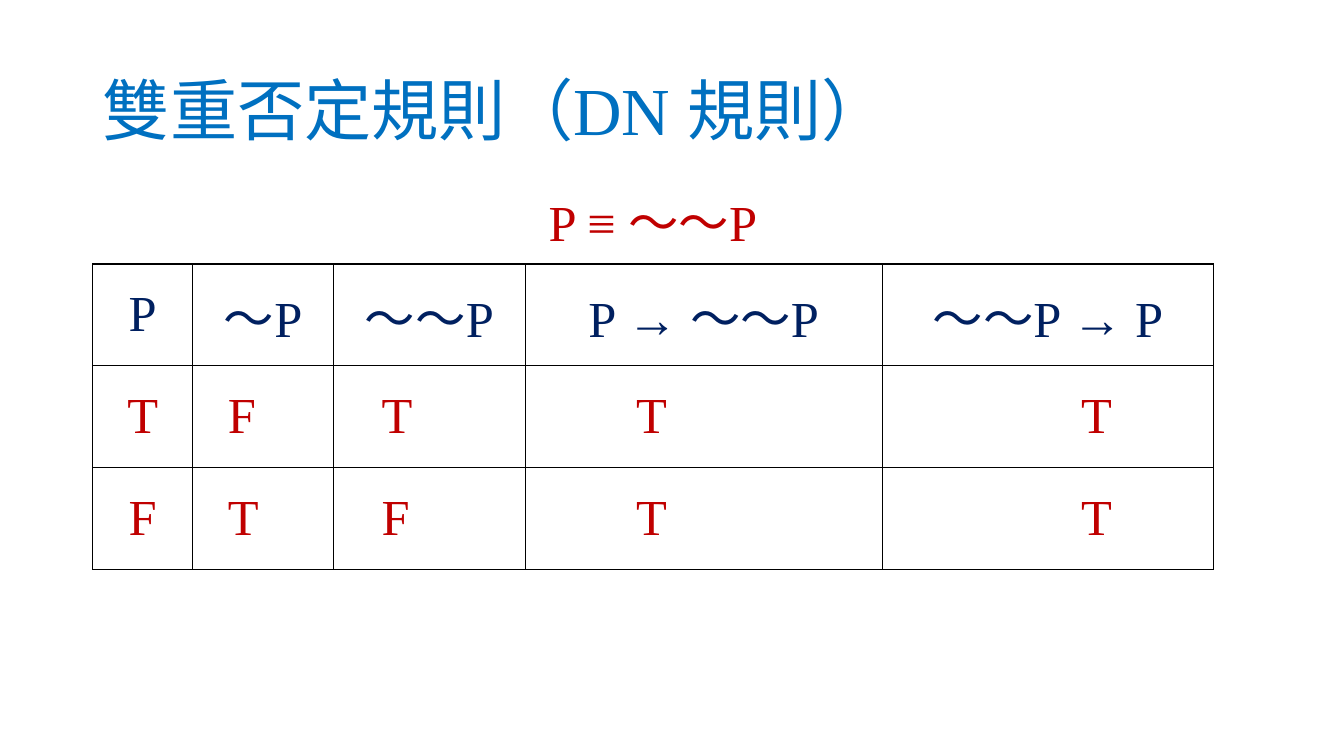
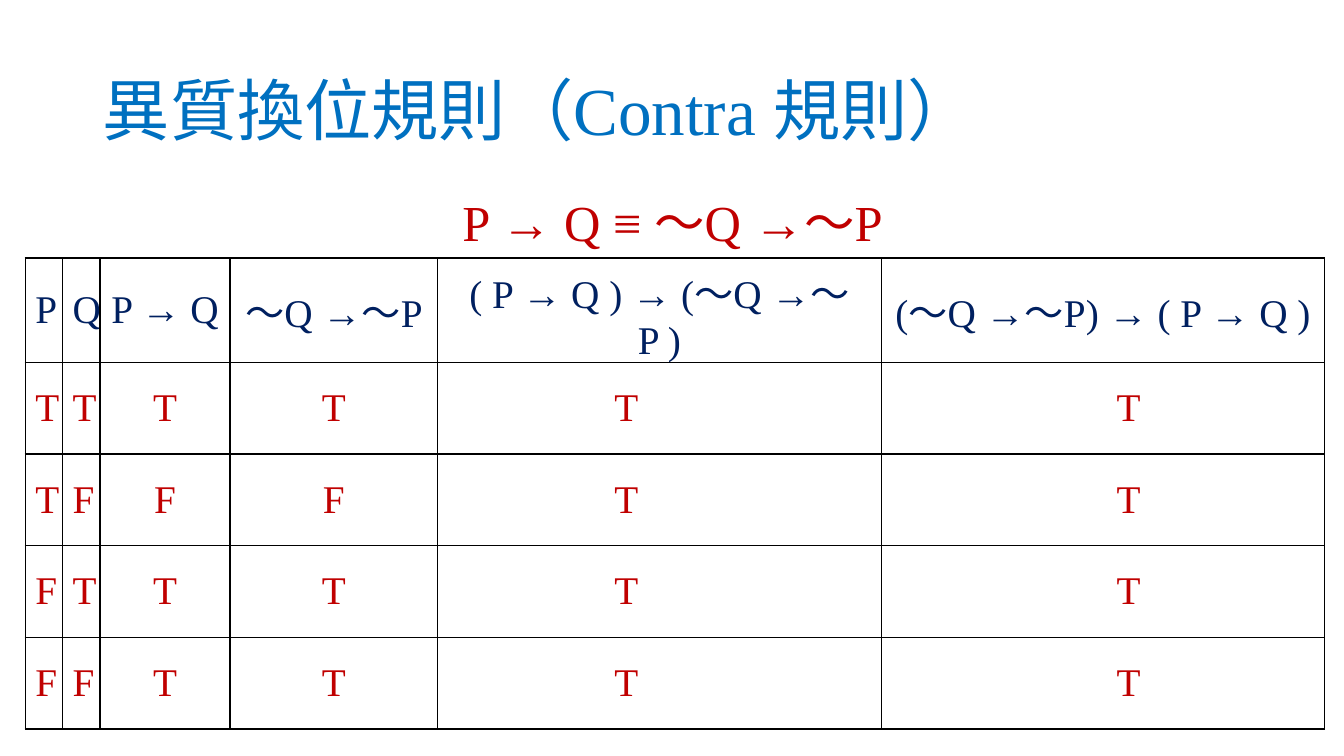
from lxml.etree import SubElement
from pptx import Presentation
from pptx.dml.color import RGBColor
from pptx.enum.text import MSO_ANCHOR, MSO_AUTO_SIZE, PP_ALIGN
from pptx.oxml.ns import qn
from pptx.util import Inches, Pt

BLUE, NAVY, RED, BLACK = "0070C0", "002060", "C00000", "000000"
SERIF, SANS = "Times New Roman", "Calibri"
TITLE_LAYOUT = 5
CELL_MARGIN = Inches(0.1)


def rgb(color):
    return RGBColor.from_string(color)


class Deck:
    """Shared style and the current slide; lengths are percent of the slide."""

    def __init__(self):
        self.prs = Presentation()
        self.prs.slide_width = Inches(13.33)
        self.prs.slide_height = Inches(7.5)
        self.s = None

    def x(self, share):
        return round(self.prs.slide_width * share / 100)

    def y(self, share):
        return round(self.prs.slide_height * share / 100)

    def box(self, left, top, width, height):
        return self.x(left), self.y(top), self.x(width), self.y(height)

    def run(self, p, text, size, color, font=SERIF):
        r = p.add_run()
        r.text = text
        r.font.size = Pt(size)
        r.font.name = font
        r.font.bold = False
        r.font.color.rgb = rgb(color)

    def slide(self, *title_runs):
        """Start a slide; each title run is a text and its font."""
        self.s = self.prs.slides.add_slide(self.prs.slide_layouts[TITLE_LAYOUT])
        sp = self.s.shapes.title
        sp.left, sp.top, sp.width, sp.height = self.box(6.9, 5.33, 86.25, 19.33)
        tf = sp.text_frame
        tf.vertical_anchor = MSO_ANCHOR.MIDDLE
        p = tf.paragraphs[0]
        p.alignment = PP_ALIGN.LEFT
        p.line_spacing = 0.9
        for text, font in title_runs:
            self.run(p, text, 48, BLUE, font)

    def formula(self, text, left, width):
        sp = self.s.shapes.add_textbox(*self.box(left, 24.67, width, 9.47))
        tf = sp.text_frame
        tf.word_wrap = True
        tf.auto_size = MSO_AUTO_SIZE.SHAPE_TO_FIT_TEXT
        p = tf.paragraphs[0]
        p.alignment = PP_ALIGN.CENTER
        self.run(p, text, 36, RED)

    def borders(self, cell):
        tc_pr = cell._tc.get_or_add_tcPr()
        for side in ("lnL", "lnR", "lnT", "lnB"):
            ln = SubElement(tc_pr, qn(f"a:{side}"), w=str(Pt(1)))
            fill = SubElement(ln, qn("a:solidFill"))
            SubElement(fill, qn("a:srgbClr"), val=BLACK)

    def truth_table(self, left, top, widths, row_height, size, rows, indents):
        """Indents, in ems, left-align the values of the columns they name."""
        frame = self.s.shapes.add_table(
            len(rows), len(widths),
            *self.box(left, top, sum(widths), row_height * len(rows)))
        table = frame.table
        table.first_row = table.horz_banding = False
        for column, width in zip(table.columns, widths):
            column.width = self.x(width)
        for i, values in enumerate(rows):
            table.rows[i].height = self.y(row_height)
            for j, value in enumerate(values):
                cell = table.cell(i, j)
                self.borders(cell)
                cell.fill.background()
                cell.vertical_anchor = MSO_ANCHOR.MIDDLE
                p = cell.text_frame.paragraphs[0]
                if i and j in indents:
                    p.alignment = PP_ALIGN.LEFT
                    cell.margin_left = CELL_MARGIN + Pt(size * indents[j])
                else:
                    p.alignment = PP_ALIGN.CENTER
                self.run(p, value, size, RED if i else NAVY)


deck = Deck()

# Double negation
deck.slide(("雙重否定規則（DN 規則）", SERIF))
deck.truth_table(
    6.9, 34.93, [7.43, 10.5, 14.25, 26.56, 24.68], 13.47, 36,
    [["P", "～P", "～～P", "P → ～～P", "～～P → P"], "TFTTT", "FTFTT"],
    {1: 0.5, 2: 0.75, 3: 2, 4: 3.75})
deck.formula("P ≡ ～～P", 37.96, 21.23)

# Contraposition
deck.slide(("異質換位規則（Contra 規則", SERIF), ("）", SANS))
deck.formula("P → Q ≡ ～Q →～P", 30.76, 38.56)
deck.truth_table(
    1.88, 34.13, [2.78, 2.78, 9.68, 15.45, 33, 33], 12.13, 28,
    [["P", "Q", "P → Q", "～Q →～P",
      "( P → Q ) → (～Q →～P )", "(～Q →～P) → ( P → Q )"],
     "TTTTTT", "TFFFTT", "FTTTTT", "FFTTTT"],
    {4: 4.25, 5: 5.75})

deck.prs.save("out.pptx")
